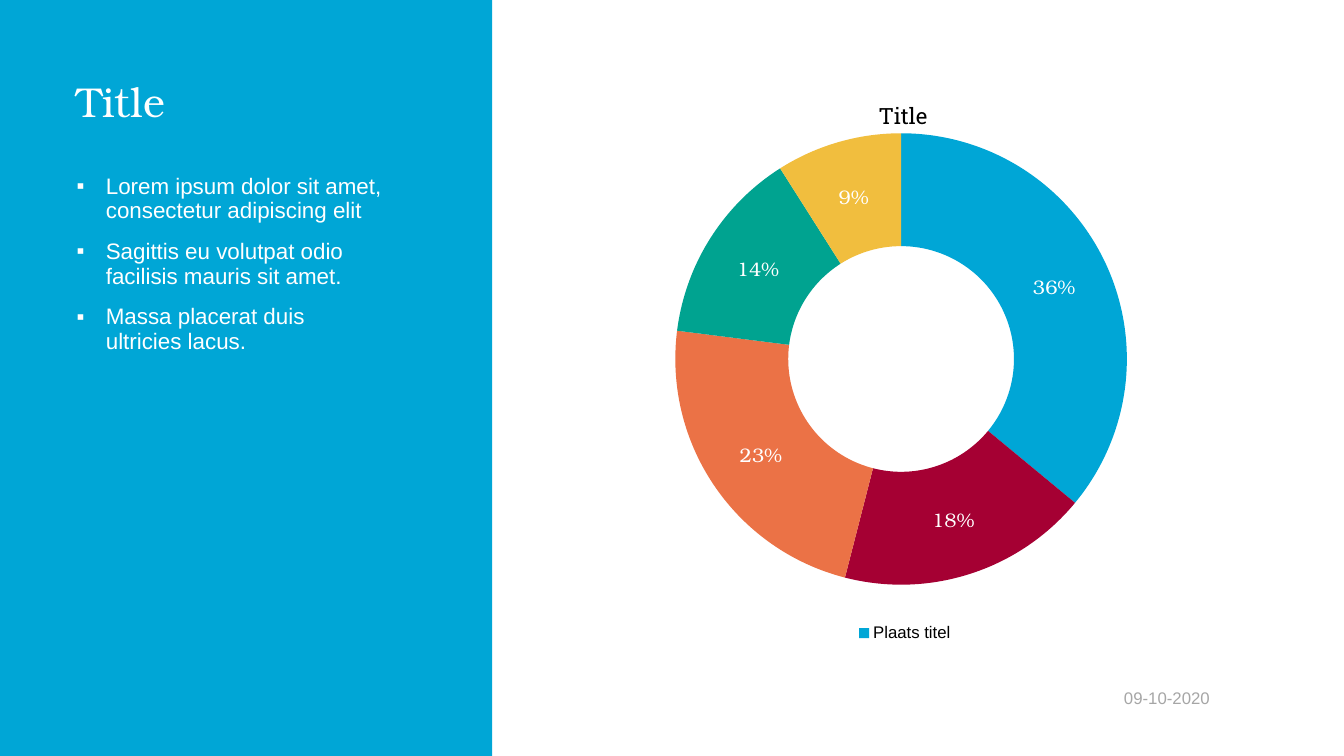
"""Build a slide with a blue text panel and a doughnut chart."""
import pptx
import pptx.chart.data
import pptx.dml.color
import pptx.enum.chart
import pptx.enum.shapes
import pptx.enum.text
import pptx.oxml.ns
import pptx.util
from lxml import etree

Inches = pptx.util.Inches
Pt = pptx.util.Pt
RGBColor = pptx.dml.color.RGBColor
qn = pptx.oxml.ns.qn

BLUE = RGBColor(0x00, 0xA6, 0xD6)
RED = RGBColor(0xA5, 0x00, 0x33)
ORANGE = RGBColor(0xEB, 0x72, 0x46)
GREEN = RGBColor(0x00, 0xA3, 0x90)
YELLOW = RGBColor(0xF1, 0xBE, 0x3E)
WHITE = RGBColor(0xFF, 0xFF, 0xFF)
BLACK = RGBColor(0x00, 0x00, 0x00)
GREY = RGBColor(0xA6, 0xA6, 0xA6)

SERIF = "TeX Gyre Bonum"
SLAB = "Roboto Slab"
SANS = "Arial"

TITLE = "Title"
BULLETS = [
    ["Lorem ipsum dolor sit amet, consectetur adipiscing elit"],
    ["Sagittis eu volutpat odio", "facilisis mauris sit amet."],
    ["Massa placerat duis", "ultricies lacus."],
]
DATE = "09-10-2020"
CHART_TITLE = "Title"
SERIES = "Plaats titel"
SLICES = [("1", 36, BLUE), ("2", 18, RED), ("3", 23, ORANGE), ("4", 14, GREEN), ("5", 9, YELLOW)]
TITLE_PLACE = {"x": 0.46, "y": 0.01}
PLOT_PLACE = {"x": 0.19, "y": 0.08, "w": 0.61, "h": 0.81}
HOLE_PERCENT = 60

PANEL_BOX = (-0.01, 0, 4.89, 7.5)
TITLE_BOX = (0.76, 0.81, 3.44, 0.54)
BODY_BOX = (0.76, 1.74, 3.44, 4.76)
CHART_BOX = (5.23, 0.88, 7.49, 5.53)
DATE_BOX = (10.71, 6.83, 1.29, 0.19)


def inches(box):
    return [Inches(length) for length in box]


def style(font, name, size, color):
    font.name = name
    font.size = Pt(size)
    font.bold = False
    font.color.rgb = color


def prepare_frame(shape, box, anchor):
    shape.left, shape.top, shape.width, shape.height = inches(box)
    frame = shape.text_frame
    frame.margin_left = frame.margin_top = frame.margin_right = frame.margin_bottom = 0
    frame.word_wrap = True
    frame.auto_size = pptx.enum.text.MSO_AUTO_SIZE.NONE
    frame.vertical_anchor = anchor
    return frame


def add_span(para, text, name, size, color):
    span = para.add_run()
    span.text = text
    style(span.font, name, size, color)


def set_bullet(para):
    props = para._p.get_or_add_pPr()
    props.set("marL", str(Inches(0.29)))
    props.set("indent", str(-Inches(0.29)))
    color = etree.SubElement(props, qn("a:buClr"))
    etree.SubElement(color, qn("a:srgbClr")).set("val", str(WHITE))
    etree.SubElement(props, qn("a:buFont")).set("typeface", SANS)
    etree.SubElement(props, qn("a:buChar")).set("char", "▪")


def add_panel(page):
    panel = page.shapes.add_shape(pptx.enum.shapes.MSO_SHAPE.RECTANGLE, *inches(PANEL_BOX))
    panel.shadow.inherit = False
    panel.fill.solid()
    panel.fill.fore_color.rgb = BLUE
    panel.line.fill.background()
    panel.element.getparent().insert(2, panel.element)


def add_texts(page):
    top = pptx.enum.text.MSO_ANCHOR.TOP
    para = prepare_frame(page.shapes.title, TITLE_BOX, top).paragraphs[0]
    para.alignment = pptx.enum.text.PP_ALIGN.LEFT
    para.line_spacing = 0.9
    add_span(para, TITLE, SERIF, 29.8, WHITE)

    frame = prepare_frame(page.placeholders[1], BODY_BOX, top)
    for index, lines in enumerate(BULLETS):
        para = frame.add_paragraph() if index else frame.paragraphs[0]
        para.line_spacing = 0.9
        para.space_before = Pt(12 if index else 0)
        set_bullet(para)
        for number, line in enumerate(lines):
            if number:
                para.add_line_break()
            add_span(para, line, SANS, 16, WHITE)

    date = page.shapes.add_textbox(*inches(DATE_BOX))
    para = prepare_frame(date, DATE_BOX, pptx.enum.text.MSO_ANCHOR.MIDDLE).paragraphs[0]
    para.alignment = pptx.enum.text.PP_ALIGN.RIGHT
    add_span(para, DATE, SANS, 12, GREY)


def place(part, index, settings):
    for old in part.findall(qn("c:layout")):
        part.remove(old)
    layout = etree.Element(qn("c:layout"))
    part.insert(index, layout)
    manual = etree.SubElement(layout, qn("c:manualLayout"))
    for tag, value in settings.items():
        etree.SubElement(manual, qn("c:" + tag)).set("val", str(value))


def place_parts(chart):
    edges = {"xMode": "edge", "yMode": "edge"}
    title = chart.element.find(".//" + qn("c:title"))
    place(title, 1, {**edges, **TITLE_PLACE})
    for old in title.findall(qn("c:overlay")):
        title.remove(old)
    overlay = etree.Element(qn("c:overlay"))
    overlay.set("val", "1")
    title.insert(2, overlay)

    area = chart.element.find(".//" + qn("c:plotArea"))
    place(area, 0, {"layoutTarget": "inner", **edges, **PLOT_PLACE})
    area.find(".//" + qn("c:holeSize")).set("val", str(HOLE_PERCENT))


def add_doughnut(page):
    data = pptx.chart.data.CategoryChartData()
    data.categories = [name for name, value, color in SLICES]
    data.add_series(SERIES, [value for name, value, color in SLICES])
    kind = pptx.enum.chart.XL_CHART_TYPE.DOUGHNUT
    chart = page.shapes.add_chart(kind, *inches(CHART_BOX), data).chart
    style(chart.font, SANS, 10, BLACK)

    chart.has_title = True
    add_span(chart.chart_title.text_frame.paragraphs[0], CHART_TITLE, SLAB, 16, BLACK)
    chart.has_legend = True
    chart.legend.position = pptx.enum.chart.XL_LEGEND_POSITION.BOTTOM
    chart.legend.include_in_layout = True
    style(chart.legend.font, SANS, 12, BLACK)

    plot = chart.plots[0]
    plot.vary_by_categories = False
    series = plot.series[0]
    series.format.fill.solid()
    series.format.fill.fore_color.rgb = BLUE
    for index, (name, value, color) in enumerate(SLICES):
        fill = series.points[index].format.fill
        fill.solid()
        fill.fore_color.rgb = color

    labels = series.data_labels
    labels.show_percentage = True
    labels.show_value = False
    labels.number_format = "0%"
    labels.number_format_is_linked = False
    style(labels.font, SERIF, 14, WHITE)
    place_parts(chart)


def main():
    deck = pptx.Presentation()
    deck.slide_width, deck.slide_height = Inches(13.33), Inches(7.5)
    page = deck.slides.add_slide(deck.slide_layouts[1])
    add_panel(page)
    add_doughnut(page)
    add_texts(page)
    deck.save("out.pptx")


if __name__ == "__main__":
    main()
